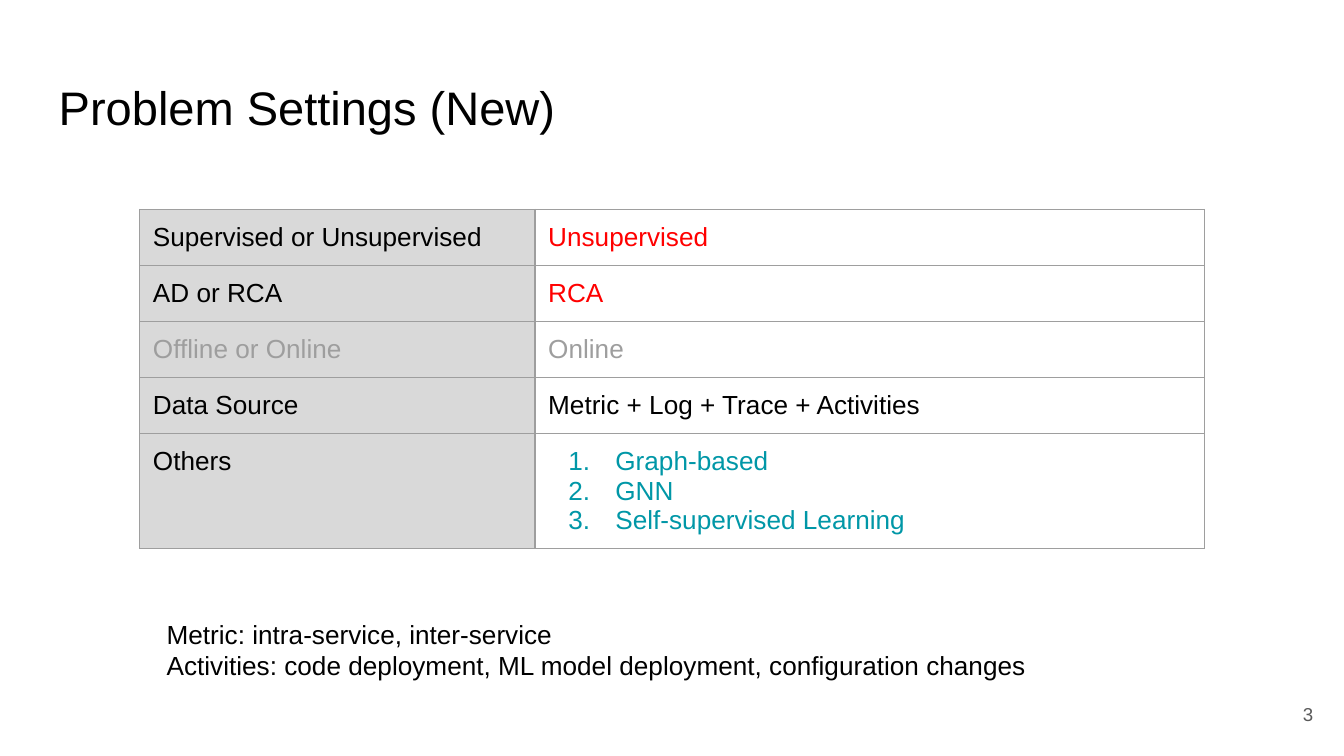
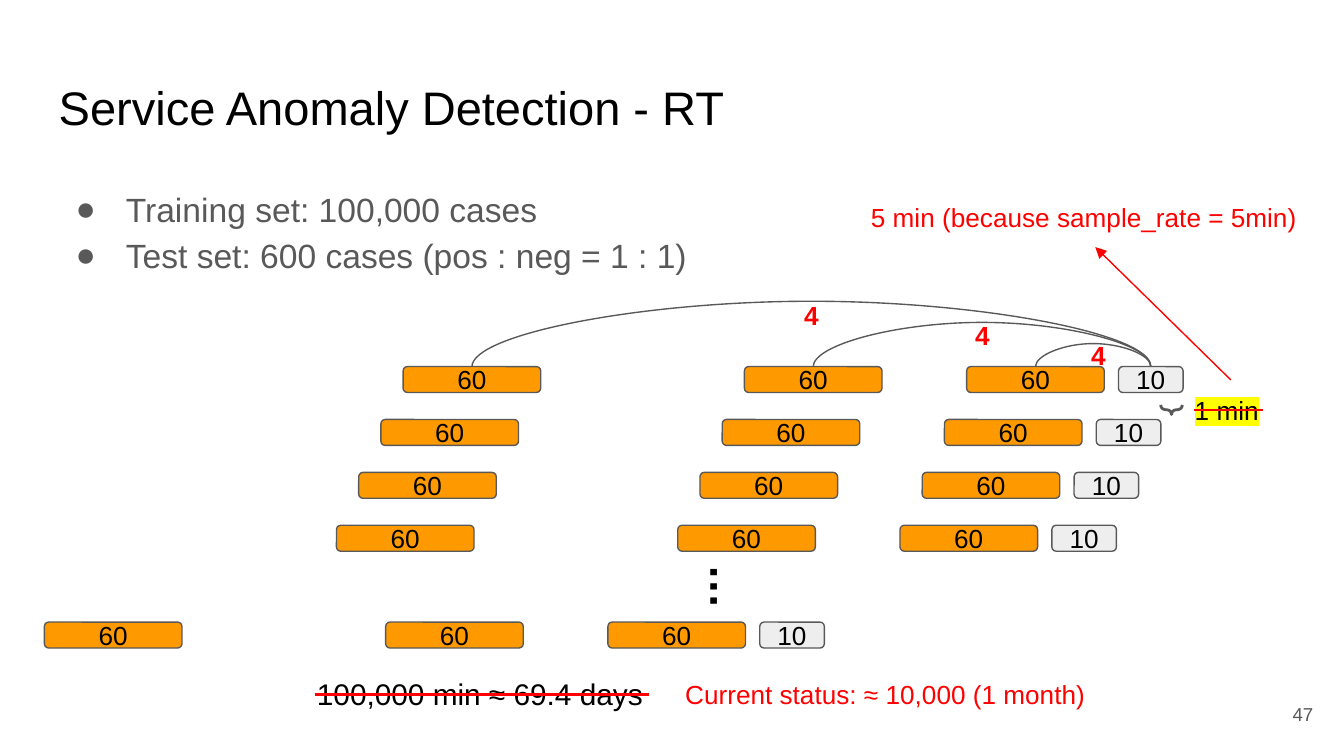
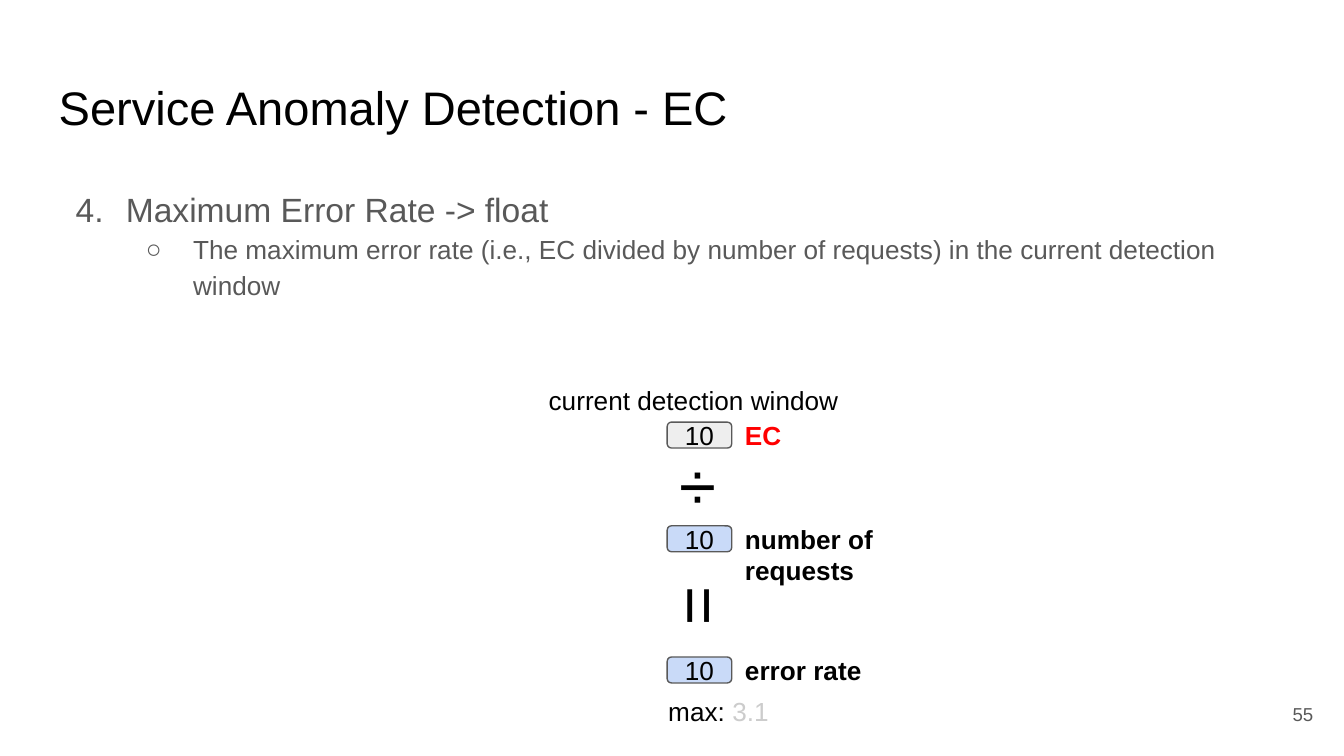
"""Build three slides on problem settings and service anomaly detection."""
from lxml.etree import SubElement
from pptx import Presentation
from pptx.dml.color import RGBColor
from pptx.enum.shapes import MSO_CONNECTOR, MSO_SHAPE
from pptx.enum.text import MSO_ANCHOR, MSO_AUTO_SIZE, PP_ALIGN
from pptx.oxml.ns import qn
from pptx.util import Cm, Pt

COLORS = {
    "black": "000000", "gray": "595959", "faded": "9E9E9E", "pale": "CCCCCC",
    "red": "FF0000", "teal": "0097A7", "yellow": "FFFF00", "orange": "FF9900",
    "header": "D9D9D9", "light": "EEEEEE", "blue": "C9DAF8",
}
FONT = "Arial"
INSET = Cm(0.25)
TITLE_BOX = (0.86, 1.24, 23.67, 1.6)
BODY_BOX = (0.86, 3.2, 23.67, 9.5)
NUMBER_BOX = (23.55, 12.95, 1.52, 1.09)

SETTINGS = [
    ("Supervised or Unsupervised", "black", ["Unsupervised"], "red"),
    ("AD or RCA", "black", ["RCA"], "red"),
    ("Offline or Online", "faded", ["Online"], "faded"),
    ("Data Source", "black", ["Metric + Log + Trace + Activities"], "black"),
    ("Others", "black", ["Graph-based", "GNN", "Self-supervised Learning"], "teal"),
]
TABLE_LEFT, TABLE_TOP = 2.64, 3.96
COLUMN_WIDTHS = (7.47, 12.65)
ROW_HEIGHTS = (1.06, 1.06, 1.06, 1.06, 2.17)
NOTES = [
    "Metric: intra-service, inter-service",
    "Activities: code deployment, ML model deployment, configuration changes",
]

DATA_SETS = ["Training set: 100,000 cases", "Test set: 600 cases (pos : neg = 1 : 1)"]
BAR_HEIGHT = 0.49
WINDOW_WIDTH = 1.22
WINDOW_BARS = [
    (0, 2.6, "60", "orange"), (6.45, 2.6, "60", "orange"),
    (10.65, 2.6, "60", "orange"), (13.52, WINDOW_WIDTH, "10", "light"),
]
WINDOW_ROWS = [(7.62 - 0.42 * i, 6.93 + i) for i in range(4)] + [(0.84, 11.76)]
ARC_RISES = (1.23, 0.83, 0.43)
ARC_DEPTH = 0.01
RT_LABELS = [
    ("4", (20.37, 6.17, 0.76, 1.12), {"color": "red", "bold": True}),
    ("4", (18.18, 5.79, 0.76, 1.12), {"color": "red", "bold": True}),
    ("4", (14.95, 5.41, 0.76, 1.12), {"color": "red", "bold": True}),
    ("1 min", (22.33, 7.2, 1.85, 1.12), {"highlight": "yellow"}),
    ("…", (13.06, 10.34, 1.37, 1.55), {"size": 24, "bold": True, "rotation": 90}),
    ("100,000 min ≈ 69.4 days", (5.74, 12.53, 6.96, 1.19), {"size": 16}),
    ("5 min (because sample_rate = 5min)", (16.21, 3.55, 8.97, 1.12), {"color": "red"}),
    ("Current status: ≈ 10,000 (1 month)", (12.7, 12.58, 8.97, 1.12), {"color": "red"}),
]
STRIKES = [(22.57, 7.75, 23.86, 7.75), (5.95, 13.12, 12.27, 13.12)]
RATE_ARROW = (23.26, 7.18, 20.7, 4.67)

WINDOW_LEFT = 12.61
RATE_BARS = [(7.98, "light"), (9.94, "blue"), (12.42, "blue")]
EC_LABELS = [
    ("current detection window", (10.12, 7.01, 6.4, 1.12), {}),
    ("EC", (13.83, 7.68, 1.35, 1.12), {"color": "red", "bold": True}),
    ("number of requests", (13.83, 9.64, 5.1, 1.12), {"bold": True}),
    ("error rate", (13.83, 12.12, 5.1, 1.12), {"bold": True}),
    ("÷", (12.6, 8.13, 1.52, 2.06), {"size": 36}),
    ("=", (12.52, 10.57, 1.52, 2.06), {"size": 36, "rotation": 90}),
]


def rgb(color):
    return RGBColor.from_string(COLORS[color])


def add_color(parent, tag, color):
    holder = SubElement(parent, qn(tag))
    SubElement(holder, qn("a:srgbClr"), val=COLORS[color])
    return holder


def write(tf, text, size=14, color="black", bold=False, align=PP_ALIGN.LEFT,
          spacing=None, highlight=None, bullet=None, start=1, indent=(0, 0),
          same_line=False):
    p = tf.paragraphs[-1]
    if p.runs and not same_line:
        p = tf.add_paragraph()
    p.alignment = align
    if spacing:
        p.line_spacing = spacing
    if bullet:
        pPr = p._p.get_or_add_pPr()
        pPr.set("marL", str(Cm(indent[0])))
        pPr.set("indent", str(Cm(indent[1])))
        add_color(pPr, "a:buClr", color)
        SubElement(pPr, qn("a:buFont"), typeface=FONT)
        if bullet == "1.":
            SubElement(pPr, qn("a:buAutoNum"), type="arabicPeriod", startAt=str(start))
        else:
            SubElement(pPr, qn("a:buChar"), char=bullet)
    r = p.add_run()
    r.text = text
    r.font.size, r.font.bold = Pt(size), bold
    r.font.color.rgb = rgb(color)
    if highlight:
        add_color(r.font._element, "a:highlight", highlight)
    r.font.name = FONT


def set_frame(tf, anchor=MSO_ANCHOR.TOP):
    tf.word_wrap = True
    tf.auto_size = MSO_AUTO_SIZE.NONE
    tf.vertical_anchor = anchor
    tf.margin_left = tf.margin_right = tf.margin_top = tf.margin_bottom = INSET
    return tf


def add_box(s, box, anchor=MSO_ANCHOR.TOP, rotation=0):
    sp = s.shapes.add_textbox(*map(Cm, box))
    sp.rotation = rotation
    return set_frame(sp.text_frame, anchor)


def add_labels(s, labels):
    for text, box, fmt in labels:
        fmt = dict(fmt)
        write(add_box(s, box, rotation=fmt.pop("rotation", 0)), text, **fmt)


def add_titled_slide(prs, title, number):
    s = prs.slides.add_slide(prs.slide_layouts[5])
    sp = s.shapes.title
    sp.left, sp.top, sp.width, sp.height = map(Cm, TITLE_BOX)
    write(set_frame(sp.text_frame), title, size=25.2)
    write(add_box(s, NUMBER_BOX, MSO_ANCHOR.MIDDLE), number, size=10, color="gray",
          align=PP_ALIGN.RIGHT)
    return s


def add_bar(s, left, top, width, text, color):
    sp = s.shapes.add_shape(MSO_SHAPE.ROUNDED_RECTANGLE, Cm(left), Cm(top),
                            Cm(width), Cm(BAR_HEIGHT))
    sp.shadow.inherit = False
    sp.fill.solid()
    sp.fill.fore_color.rgb = rgb(color)
    sp.line.color.rgb = rgb("gray")
    sp.line.width = Pt(0.75)
    write(set_frame(sp.text_frame, MSO_ANCHOR.MIDDLE), text, align=PP_ALIGN.CENTER)
    return sp


def add_line(s, ends, color, width, kind=MSO_CONNECTOR.STRAIGHT):
    line = s.shapes.add_connector(kind, *map(Cm, ends))
    line.line.color.rgb = rgb(color)
    line.line.width = Pt(width)
    SubElement(line._element.spPr, qn("a:effectLst"))
    return line


def add_arc(s, source, target, rise):
    arc = add_line(s, (0, 0, 1, 0), "gray", 0.75, MSO_CONNECTOR.CURVE)
    arc.begin_connect(source, 0)
    arc.end_connect(target, 0)
    start, end, y = arc.begin_x, arc.end_x, arc.begin_y
    span, depth = end - start, Cm(ARC_DEPTH)
    arc.left, arc.top = (start + end - depth) // 2, y - span // 2
    arc.width, arc.height = depth, span
    spPr = arc._element.spPr
    xfrm = spPr.find(qn("a:xfrm"))
    xfrm.set("rot", "16200000")
    xfrm.set("flipH", "1")
    guides = spPr.find(qn("a:prstGeom")).find(qn("a:avLst"))
    SubElement(guides, qn("a:gd"), name="adj1",
               fmla=f"val {round(-rise / ARC_DEPTH * 100000)}")


def format_cell(cell, fill=None):
    cell.margin_left = cell.margin_right = INSET
    cell.margin_top = cell.margin_bottom = INSET
    tcPr = cell._tc.get_or_add_tcPr()
    for side in ("a:lnL", "a:lnR", "a:lnT", "a:lnB"):
        border = SubElement(tcPr, qn(side), w=str(Pt(0.75)))
        add_color(border, "a:solidFill", "faded")
    if fill:
        cell.fill.solid()
        cell.fill.fore_color.rgb = rgb(fill)
    else:
        cell.fill.background()


def build_settings(prs):
    s = add_titled_slide(prs, "Problem Settings (New)", "3")
    table = s.shapes.add_table(
        len(SETTINGS), len(COLUMN_WIDTHS), Cm(TABLE_LEFT), Cm(TABLE_TOP),
        Cm(sum(COLUMN_WIDTHS)), Cm(sum(ROW_HEIGHTS))).table
    table.first_row = table.horz_banding = False
    for column, width in zip(table.columns, COLUMN_WIDTHS):
        column.width = Cm(width)
    for i, (setting, color, values, value_color) in enumerate(SETTINGS):
        table.rows[i].height = Cm(ROW_HEIGHTS[i])
        name_cell, value_cell = table.cell(i, 0), table.cell(i, 1)
        format_cell(name_cell, "header")
        format_cell(value_cell)
        write(name_cell.text_frame, setting, color=color)
        for value in values:
            write(value_cell.text_frame, value, color=value_color,
                  bullet="1." if len(values) > 1 else None, indent=(1.27, -0.89))
    notes = add_box(s, (2.9, 11.43, 17.04, 1.7))
    for note in NOTES:
        write(notes, note)


def build_response_time(prs):
    s = add_titled_slide(prs, "Service Anomaly Detection - RT", "47")
    body = add_box(s, BODY_BOX)
    for text in DATA_SETS:
        write(body, text, size=18, color="gray", spacing=1.15, bullet="●",
              indent=(1.27, -0.95))
    rows = [[add_bar(s, left + dx, top, width, text, color)
             for dx, width, text, color in WINDOW_BARS] for left, top in WINDOW_ROWS]
    *history, current = rows[0]
    for bar, rise in zip(history, ARC_RISES):
        add_arc(s, bar, current, rise)
    brace = s.shapes.add_shape(MSO_SHAPE.RIGHT_BRACE, Cm(22.05), Cm(7.54), Cm(0.18), Cm(0.41))
    brace.rotation = 90
    brace.adjustments[0] = brace.adjustments[1] = 0.5
    brace.shadow.inherit = False
    brace.fill.background()
    brace.line.color.rgb = rgb("gray")
    brace.line.width = Pt(1.5)
    add_labels(s, RT_LABELS)
    for ends in STRIKES:
        add_line(s, ends, "red", 1.5)
    arrow = add_line(s, RATE_ARROW, "red", 0.75)
    SubElement(arrow.line._get_or_add_ln(), qn("a:tailEnd"), type="triangle")


def build_error_count(prs):
    s = add_titled_slide(prs, "Service Anomaly Detection - EC", "55")
    body = add_box(s, BODY_BOX)
    write(body, "Maximum Error Rate -> float", size=18, color="gray", spacing=1.15,
          bullet="1.", start=4, indent=(1.27, -0.95))
    write(body, "The maximum error rate (i.e., EC divided by number of requests) "
          "in the current detection window", color="gray", spacing=1.15,
          bullet="○", indent=(2.54, -0.89))
    body.paragraphs[-1].level = 1
    for top, color in RATE_BARS:
        add_bar(s, WINDOW_LEFT, top, WINDOW_WIDTH, "10", color)
    add_labels(s, EC_LABELS)
    maximum = add_box(s, (12.38, 12.9, 2.67, 1.12))
    write(maximum, "max: ")
    write(maximum, "3.1", color="pale", same_line=True)


def main():
    prs = Presentation()
    prs.slide_width, prs.slide_height = Cm(25.4), Cm(14.29)
    build_settings(prs)
    build_response_time(prs)
    build_error_count(prs)
    prs.save("out.pptx")


if __name__ == "__main__":
    main()
